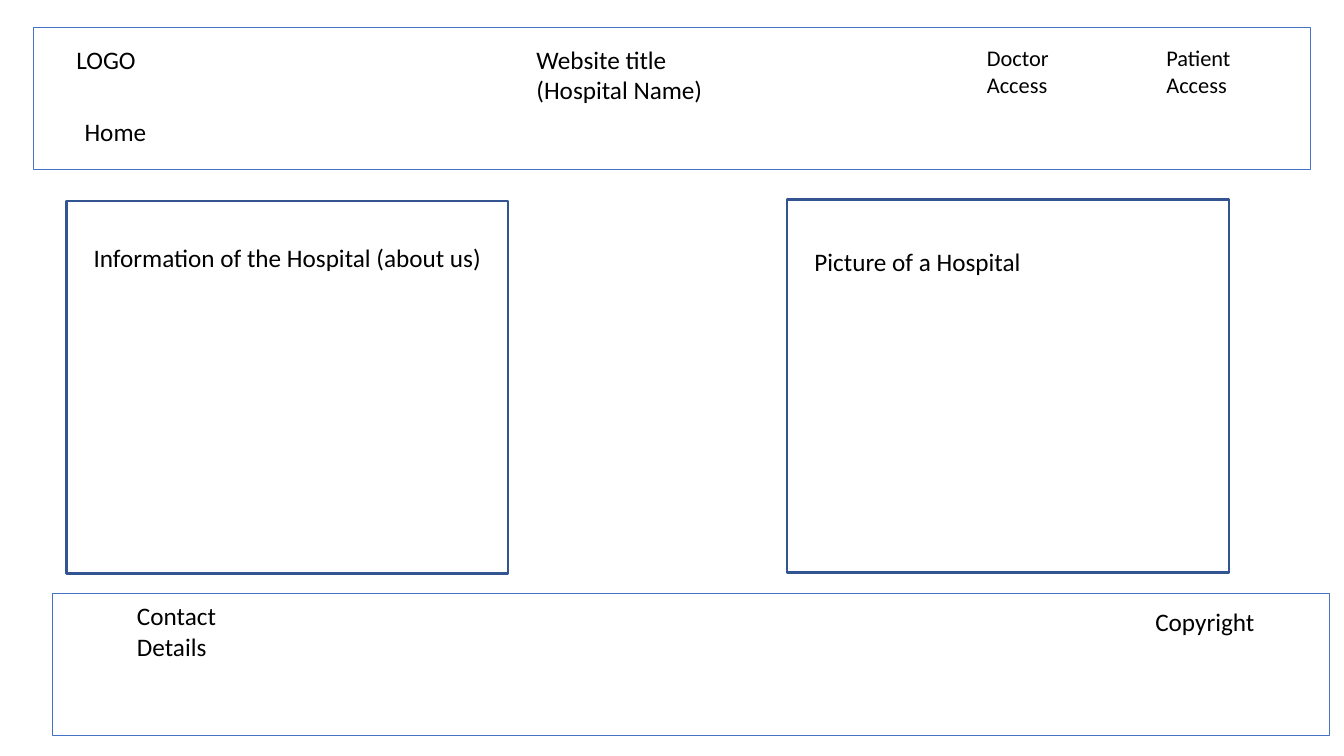
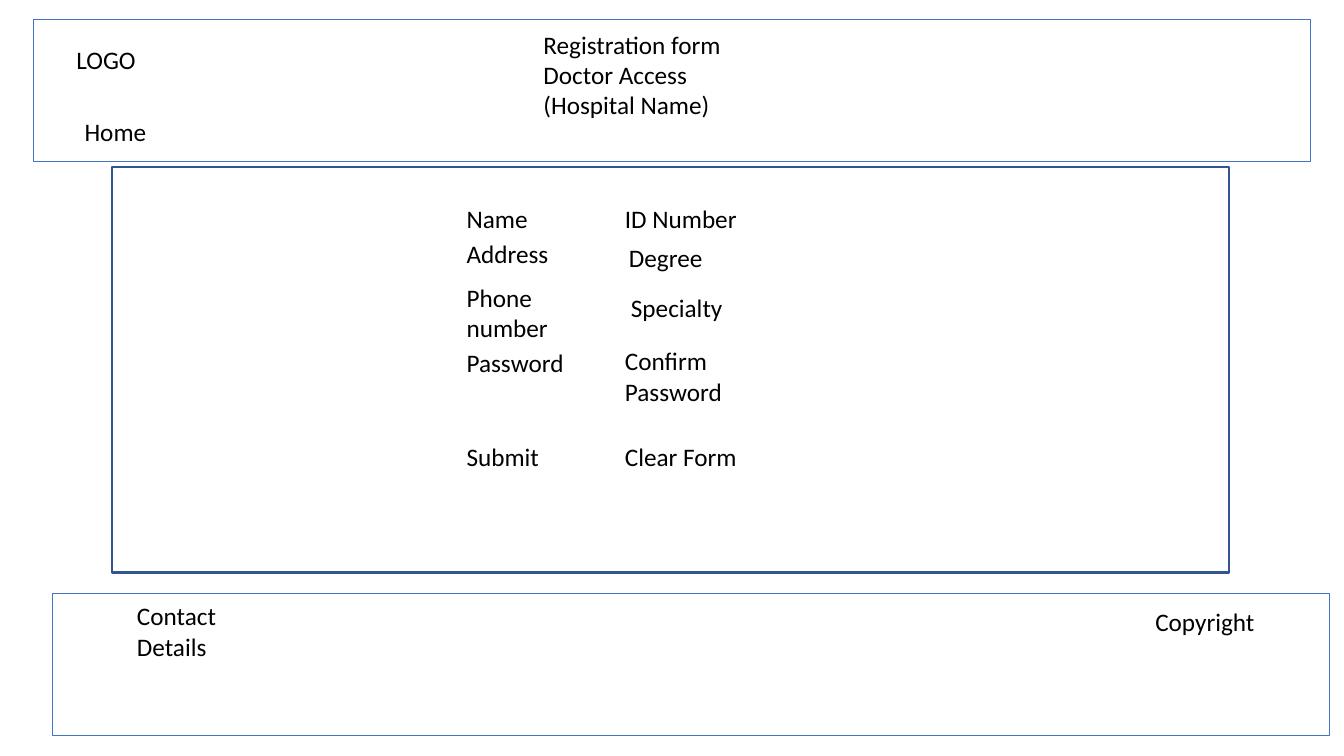
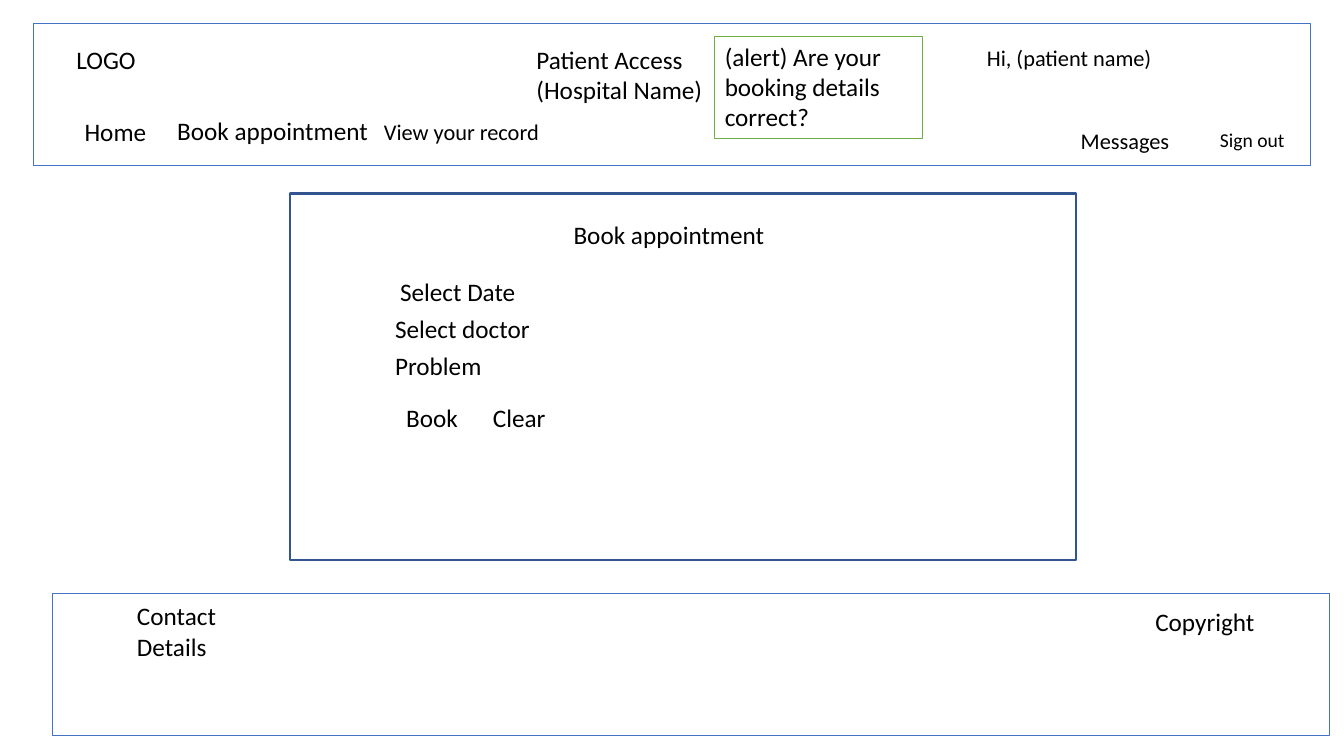
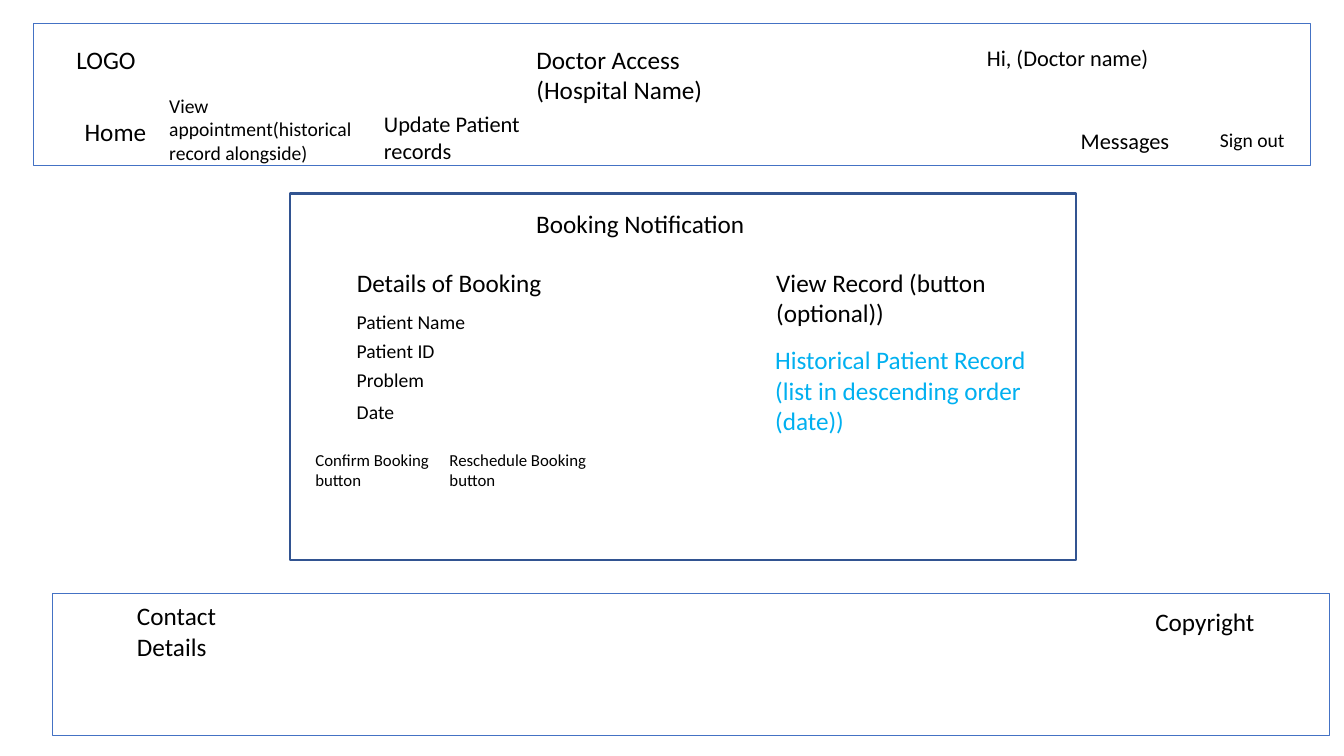
import pptx
import pptx.dml.color
import pptx.enum.shapes
import pptx.enum.text
import pptx.util

Inches = pptx.util.Inches
RGBColor = pptx.dml.color.RGBColor

BAND_BLUE = RGBColor(0x44, 0x72, 0xC4)
PANEL_BLUE = RGBColor(0x32, 0x54, 0x91)
ALERT_GREEN = RGBColor(0x70, 0xAD, 0x47)
RECORD_BLUE = RGBColor(0x00, 0xB0, 0xF0)
BLACK = RGBColor(0x00, 0x00, 0x00)
FONT = "Calibri"


def add_frame(slide, left, top, width, height, color, weight):
    """Add an unfilled rectangle with a coloured outline."""
    frame = slide.shapes.add_shape(
        pptx.enum.shapes.MSO_SHAPE.RECTANGLE,
        Inches(left), Inches(top), Inches(width), Inches(height))
    frame.shadow.inherit = False
    frame.fill.background()
    frame.line.color.rgb = color
    frame.line.width = pptx.util.Pt(weight)
    return frame


def write_text(shape, text, size=18, color=BLACK):
    """Fill a shape with left-aligned, top-anchored text."""
    text_frame = shape.text_frame
    text_frame.text = text
    text_frame.word_wrap = True
    text_frame.auto_size = pptx.enum.text.MSO_AUTO_SIZE.NONE
    text_frame.vertical_anchor = pptx.enum.text.MSO_ANCHOR.TOP
    for paragraph in text_frame.paragraphs:
        paragraph.alignment = pptx.enum.text.PP_ALIGN.LEFT
        paragraph.font.name = FONT
        paragraph.font.size = pptx.util.Pt(size)
        paragraph.font.color.rgb = color


presentation = pptx.Presentation()
presentation.slide_width = Inches(13.33)
presentation.slide_height = Inches(7.5)
title_only = presentation.slide_layouts[5]

# Labels: left, top, width, height, text, then size and colour if special
shared_labels = [
    (0.66, 0.39, 1.86, 0.4, "LOGO"),
    (0.74, 1.1, 1.39, 0.4, "Home"),
    (1.26, 5.91, 1.39, 0.71, "Contact Details"),
    (11.36, 5.97, 1.39, 0.4, "Copyright"),
]
account_labels = [
    (10.62, 1.21, 1.39, 0.37, "Messages", 16),
    (12, 1.22, 1.17, 0.34, "Sign out", 14),
]

# Home page
home_labels = [
    (9.69, 0.39, 0.93, 0.64, "Doctor Access", 16),
    (11.47, 0.39, 0.93, 0.64, "Patient\nAccess", 16),
    (0.83, 2.36, 4.74, 0.4, "Information of the Hospital (about us)"),
    (7.98, 2.39, 4.04, 0.4, "Picture of a Hospital"),
]

# Doctor registration form
registration_labels = [
    (4.53, 1.97, 1.53, 0.4, "Name"),
    (4.53, 2.32, 1.53, 0.4, "Address"),
    (4.53, 2.75, 1.63, 0.71, "Phone number"),
    (4.53, 3.4, 1.63, 0.4, "Password"),
    (4.53, 4.33, 1.53, 0.4, "Submit"),
    (6.1, 1.97, 1.53, 0.4, "ID Number"),
    (6.14, 2.36, 1.53, 0.4, "Degree"),
    (6.16, 2.85, 1.53, 0.4, "Specialty"),
    (6.1, 3.38, 1.63, 0.71, "Confirm Password"),
    (6.1, 4.33, 1.53, 0.4, "Clear Form"),
]

# Patient page
patient_labels = account_labels + [
    (9.69, 0.39, 3.13, 0.37, "Hi, (patient name)", 16),
    (1.66, 1.09, 2.2, 0.4, "Book appointment"),
    (3.71, 1.12, 1.94, 0.37, "View your record", 16),
    (5.59, 2.13, 3.72, 0.4, "Book appointment"),
    (3.87, 2.69, 1.72, 0.4, "Select Date"),
    (3.82, 3.06, 1.72, 0.4, "Select doctor"),
    (3.82, 3.43, 1.72, 0.4, "Problem"),
    (3.93, 3.94, 1.1, 0.4, "Book"),
    (4.79, 3.94, 1.1, 0.4, "Clear"),
]

# Doctor page
doctor_labels = account_labels + [
    (9.69, 0.39, 3.13, 0.37, "Hi, (Doctor name)", 16),
    (1.58, 0.88, 2.16, 0.81, "View appointment(historical record alongside)", 14),
    (3.71, 1.04, 2.2, 0.64, "Update Patient records", 16),
    (5.22, 2.02, 3.02, 0.4, "Booking Notification"),
    (3.44, 2.6, 2.48, 0.4, "Details of Booking"),
    (3.44, 3.03, 1.77, 0.34, "Patient Name", 14),
    (3.44, 3.31, 1.77, 0.34, "Patient ID", 14),
    (3.44, 3.6, 1.77, 0.34, "Problem", 14),
    (3.44, 3.92, 1.77, 0.34, "Date", 14),
    (3.03, 4.41, 1.77, 0.5, "Confirm Booking button", 12),
    (4.36, 4.41, 1.77, 0.5, "Reschedule Booking button", 12),
    (7.6, 2.6, 2.48, 0.71, "View Record (button (optional))"),
    (7.59, 3.37, 3.02, 1.01,
     "Historical Patient Record (list in descending order (date))", 18, RECORD_BLUE),
]

# Pages: header top, title, title position, panels, labels
title_position = (5.22, 0.39, 2.39, 0.71)
booking_panel = (2.88, 1.92, 7.79, 3.64)
pages = [
    (0.27, "Website title (Hospital Name)", title_position,
     [(0.66, 1.99, 4.38, 3.7), (7.81, 1.98, 4.38, 3.7)], home_labels),
    (0.19, "Registration form Doctor Access\n(Hospital Name)", (5.29, 0.24, 2.63, 1.01),
     [(1.11, 1.66, 11.08, 4.02)], registration_labels),
    (0.23, "Patient Access\n(Hospital Name)", title_position,
     [booking_panel], patient_labels),
    (0.23, "Doctor Access\n(Hospital Name)", title_position,
     [booking_panel], doctor_labels),
]

for header_top, title_text, title_box, panels, labels in pages:
    slide = presentation.slides.add_slide(title_only)

    # Header and footer bands, content panels
    for left, top in [(0.33, header_top), (0.52, 5.89)]:
        add_frame(slide, left, top, 12.67, 1.41, BAND_BLUE, 0.75)
    for panel in panels:
        add_frame(slide, *panel, PANEL_BLUE, 1.5)

    # Title
    title = slide.shapes.title
    title.left, title.top, title.width, title.height = map(Inches, title_box)
    write_text(title, title_text)

    # Labels
    for left, top, width, height, *text_settings in shared_labels + labels:
        label = slide.shapes.add_textbox(
            Inches(left), Inches(top), Inches(width), Inches(height))
        write_text(label, *text_settings)

# Booking alert on the patient page
alert = add_frame(presentation.slides[2], 7.09, 0.36, 2.06, 1.01, ALERT_GREEN, 0.75)
write_text(alert, "(alert) Are your booking details correct?")

presentation.save("out.pptx")
